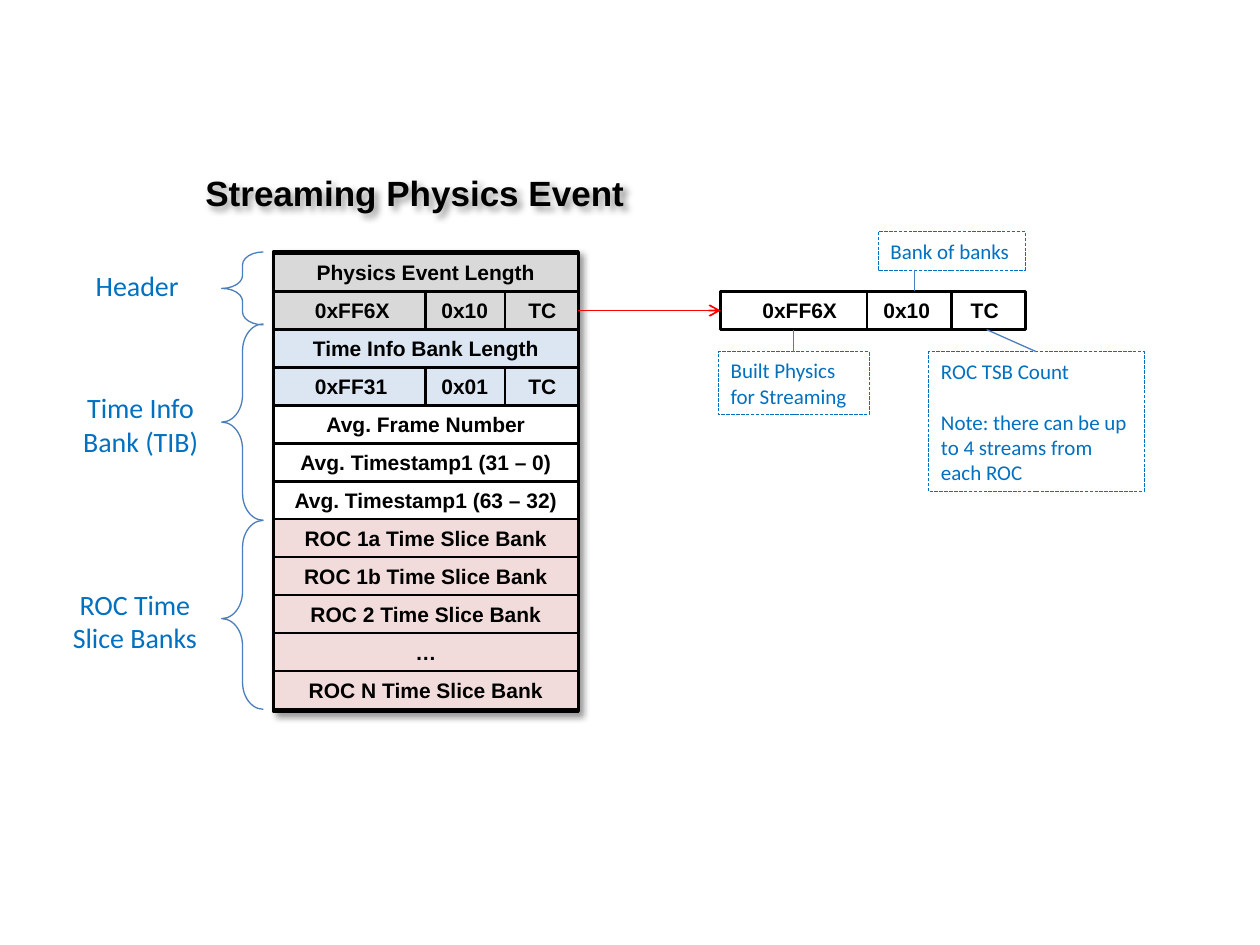
from dataclasses import dataclass

from lxml import etree
from pptx import Presentation
from pptx.dml.color import RGBColor
from pptx.enum import dml, shapes, text
from pptx.oxml.ns import qn
from pptx.util import Cm, Pt

CENTER, LEFT = text.PP_ALIGN.CENTER, text.PP_ALIGN.LEFT


@dataclass(frozen=True)
class Theme:
    ink: str = "000000"
    note: str = "0070C0"
    brace: str = "4B7EBC"
    arrow: str = "FF0000"
    white: str = "FFFFFF"
    header: str = "D9D9D9"
    time_info: str = "DCE6F2"
    slices: str = "F2DCDB"
    word_font: str = "Arial"
    note_font: str = "Calibri"
    title_size: float = 20
    label_size: float = 16
    body_size: float = 12


def write(frame, content, *, font, size, color, bold=False, align=LEFT,
          anchor=text.MSO_ANCHOR.MIDDLE, gap=0, tabs=()):
    """Fill a text frame, one paragraph per line of content."""
    frame.word_wrap = True
    frame.vertical_anchor = anchor
    for i, line in enumerate(content.split("\n")):
        para = frame.paragraphs[0] if i == 0 else frame.add_paragraph()
        para.alignment = align
        if i and gap:
            para.space_before = Pt(gap)
        if tabs:
            stops = etree.SubElement(para._p.get_or_add_pPr(), qn("a:tabLst"))
            for stop in tabs:
                etree.SubElement(stops, qn("a:tab"), pos=str(Cm(stop)), algn="l")
        run = para.add_run()
        run.text = line
        run.font.name, run.font.size, run.font.bold = font, Pt(size), bold
        run.font.color.rgb = RGBColor.from_string(color)


class EventDiagram:
    def __init__(self, slide, theme):
        self.slide, self.theme = slide, theme
        self.word_style = dict(font=theme.word_font, size=theme.body_size,
                               color=theme.ink, bold=True)

    def _shape(self, kind, box, fill, color, width):
        shape = self.slide.shapes.add_shape(kind, *map(Cm, box))
        shape.shadow.inherit = False
        if fill:
            shape.fill.solid()
            shape.fill.fore_color.rgb = RGBColor.from_string(fill)
        else:
            shape.fill.background()
        shape.line.color.rgb = RGBColor.from_string(color)
        shape.line.width = Pt(width)
        return shape

    def rect(self, box, fill=None, width=1.5):
        return self._shape(shapes.MSO_SHAPE.RECTANGLE, box, fill, self.theme.ink, width)

    def cast_shadow(self, shape):
        shape.shadow.inherit = False
        effects = shape._element.spPr.find(qn("a:effectLst"))
        shadow = etree.SubElement(effects, qn("a:outerShdw"), blurRad=str(Pt(4)),
                                  dist=str(Pt(3)), dir="2700000", algn="tl", rotWithShape="0")
        color = etree.SubElement(shadow, qn("a:srgbClr"), val=self.theme.ink)
        etree.SubElement(color, qn("a:alpha"), val="40000")

    def line(self, start, end, color, width):
        line = self.slide.shapes.add_connector(
            shapes.MSO_CONNECTOR.STRAIGHT, *map(Cm, (*start, *end)))
        line.line.color.rgb = RGBColor.from_string(color)
        line.line.width = Pt(width)
        etree.SubElement(line._element.spPr, qn("a:effectLst"))
        return line

    def arrow(self, source, target):
        arrow = self.line((0, 0), (1, 1), self.theme.arrow, 1)
        arrow.begin_connect(source, 3)
        arrow.end_connect(target, 1)
        etree.SubElement(arrow.line._get_or_add_ln(), qn("a:tailEnd"), type="arrow")

    def word(self, box, content, fill):
        """A row holding one centred entry."""
        write(self.rect(box, fill).text_frame, content, align=CENTER, **self.word_style)

    def split_word(self, box, fields, fill, dividers, tabs):
        """A row divided into fields; dividers and tabs are offsets in the row."""
        row = self.rect(box, fill)
        row.text_frame.margin_left = Cm(0.84)
        write(row.text_frame, "\t".join(fields), tabs=tabs, **self.word_style)
        left, top, _, height = box
        for offset in dividers:
            x = left + offset
            self.line((x, top), (x, top + height), self.theme.ink, 1.5)
        return row

    def brace(self, top, height, curl, point):
        brace = self._shape(shapes.MSO_SHAPE.LEFT_BRACE, (4.47, top, 0.84, height),
                            None, self.theme.brace, 0.75)
        brace.adjustments[0], brace.adjustments[1] = curl, point

    def text_box(self, box, content, **style):
        area = self.slide.shapes.add_textbox(*map(Cm, box))
        write(area.text_frame, content, anchor=text.MSO_ANCHOR.TOP, **style)
        return area

    def callout(self, box, content, gap=0):
        note = self._shape(shapes.MSO_SHAPE.RECTANGLE, box, None, self.theme.note, 0.25)
        note.line.dash_style = dml.MSO_LINE.LONG_DASH
        write(note.text_frame, content, font=self.theme.note_font,
              size=self.theme.body_size, color=self.theme.note, gap=gap)
        return note

    def leader(self, start, end, target=None):
        leader = self.line(start, end, self.theme.brace, 0.75)
        if target is not None:
            leader.end_connect(target, 0)


def main():
    theme = Theme()
    deck = Presentation()
    deck.slide_width, deck.slide_height = Cm(25.4), Cm(19.05)
    diagram = EventDiagram(deck.slides.add_slide(deck.slide_layouts[6]), theme)

    # Title
    title = diagram.text_box((3.89, 3.33, 9.47, 1.12), "Streaming Physics Event",
                             font=theme.word_font, size=theme.title_size,
                             color=theme.ink, bold=True)
    diagram.cast_shadow(title)

    # Section labels and braces
    sections = [
        ("Header", (1.68, 5.28, 2.34, 0.94), LEFT, (5.08, 1.47, 0.31, 0.5)),
        ("Time Info\nBank (TIB)", (1.17, 7.75, 3.33, 1.63), CENTER, (6.53, 3.96, 0.65, 0.5)),
        ("ROC Time Slice Banks", (1.17, 11.71, 3.1, 1.63), CENTER, (10.49, 3.81, 0.65, 0.52)),
    ]
    for label, box, align, brace in sections:
        diagram.text_box(box, label, font=theme.note_font, size=theme.label_size,
                         color=theme.note, align=align)
        diagram.brace(*brace)

    # Event structure: a tuple is a row split into fields
    left, top, width, height, pitch = 5.51, 5.11, 6.15, 0.77, 0.765
    diagram.cast_shadow(diagram.rect((left, 5.08, width, 9.25), theme.white, 2))
    words = [
        ("Physics Event Length", theme.header),
        (("0xFF6X", "0x10", "TC"), theme.header),
        ("Time Info Bank Length", theme.time_info),
        (("0xFF31", "0x01", "TC"), theme.time_info),
        ("Avg. Frame Number", None),
        ("Avg. Timestamp1 (31 – 0)", None),
        ("Avg. Timestamp1 (63 – 32)", None),
        ("ROC 1a Time Slice Bank", theme.slices),
        ("ROC 1b Time Slice Bank", theme.slices),
        ("ROC 2 Time Slice Bank", theme.slices),
        ("…", theme.slices),
        ("ROC N Time Slice Bank", theme.slices),
    ]
    split_rows = []
    for i, (content, fill) in enumerate(words):
        box = (left, top + i * pitch, width, height)
        if isinstance(content, tuple):
            split_rows.append(diagram.split_word(box, content, fill, (3.07, 4.67), (2.55, 4.3)))
        else:
            diagram.word(box, content, fill)

    # Header word in detail
    detail_top = top + pitch
    detail_bottom = detail_top + height
    detail = diagram.split_word((14.53, detail_top, width, height), ("0xFF6X", "0x10", "TC"),
                                theme.white, (2.95, 4.65), (2.44, 4.2))
    diagram.arrow(split_rows[0], detail)

    # Callouts
    diagram.callout((17.7, 4.67, 2.97, 0.77), "Bank of banks")
    diagram.leader((18.44, 5.44), (18.44, detail_top))
    built = diagram.callout((14.48, 7.09, 3.04, 1.27), "Built Physics for Streaming")
    diagram.leader((16, detail_bottom), (16, 7.09), built)
    count = diagram.callout(
        (18.72, 7.09, 4.34, 2.82),
        "ROC TSB Count\nNote: there can be up to 4 streams from each ROC", gap=14.6)
    diagram.leader((19.89, detail_bottom), (20.89, 7.09), count)

    deck.save("out.pptx")


if __name__ == "__main__":
    main()
